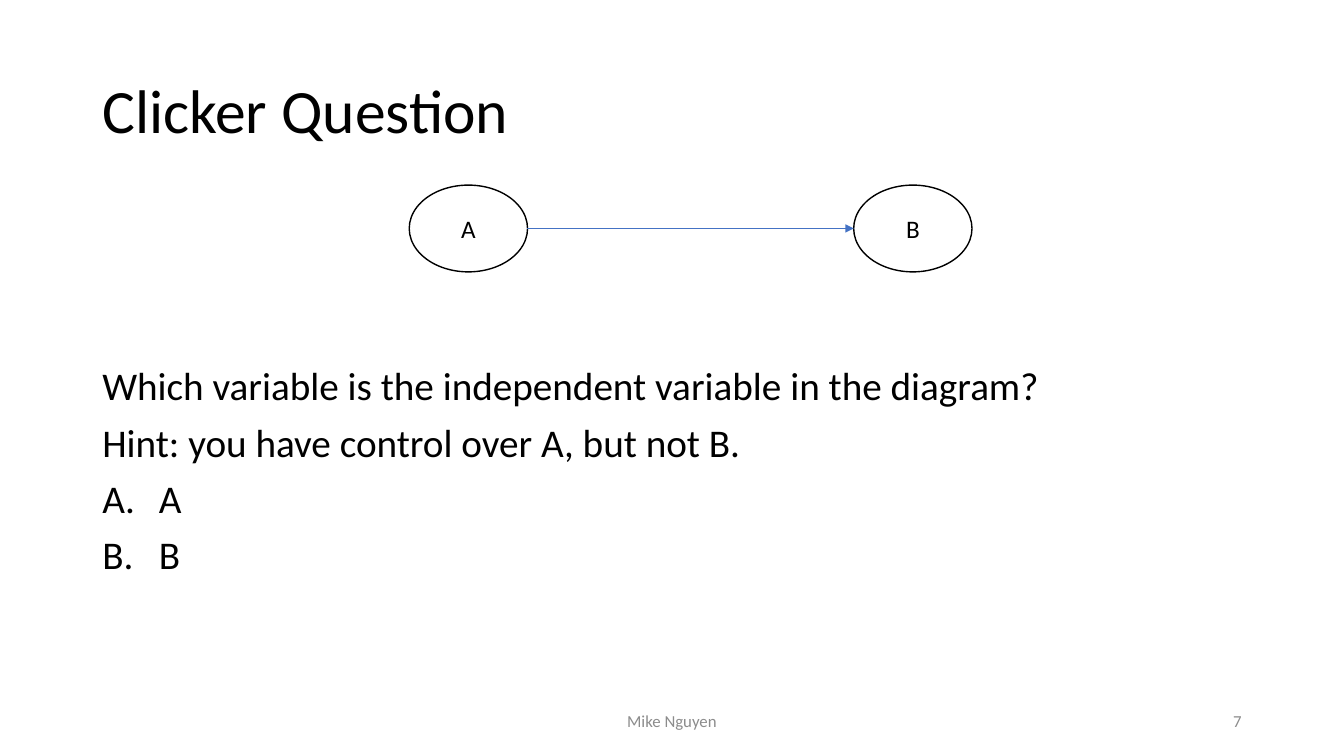
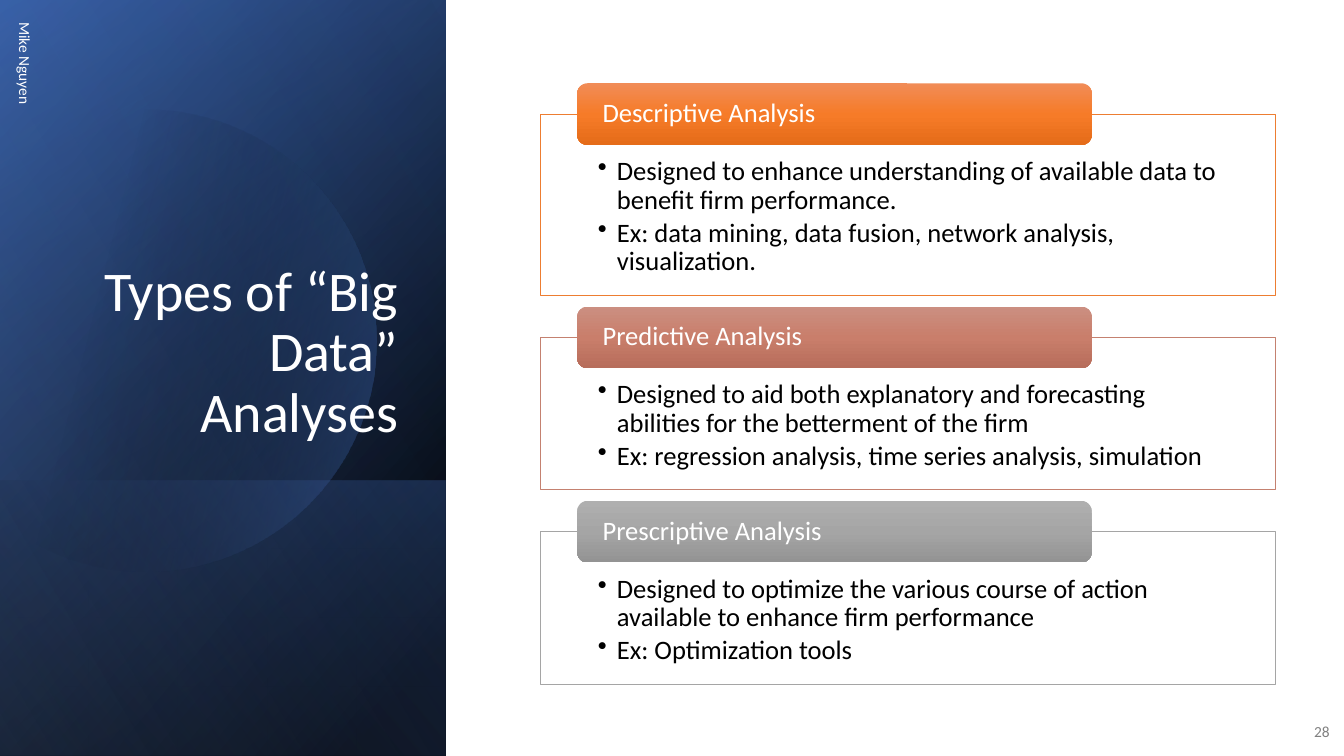
"""Build two lecture slides: a clicker question and the types of big data analysis."""
from math import acos, cos, pi, sin

from lxml.etree import SubElement
from pptx import Presentation
from pptx.dml.color import RGBColor
from pptx.enum.shapes import MSO_CONNECTOR, MSO_SHAPE
from pptx.enum.text import MSO_ANCHOR, PP_ALIGN
from pptx.oxml.ns import qn
from pptx.util import Pt

COLORS = {
    "black": "000000", "white": "FFFFFF", "blue": "4472C4", "deep blue": "2F5597",
    "light blue": "8FAADC", "footer": "8C8C8C", "page": "808080",
    "orange": "ED7D31", "rose": "C48170", "gray": "A5A5A5",
    "orange top": "F18C57", "orange middle": "F67B28", "orange bottom": "E56C19",
    "rose top": "CB8F81", "rose middle": "C97E6B", "rose bottom": "B76D5B",
    "gray top": "AFAFAF", "gray middle": "A5A5A5", "gray bottom": "939393",
}
TITLE = {"line_spacing": 0.9}
FOOTER = {"size": 12, "color": "footer"}
SMALL = {"size": 11, "space_after": Pt(6)}
PARAGRAPH_KEYS = ("alignment", "line_spacing", "space_before", "space_after")
LETTERS = ("a:buAutoNum", {"type": "alphaUcPeriod"}, 40.5)
DOTS = ("a:buChar", {"char": "•"}, 13.7)


def write_text(shape, lines, size, color="black", anchor=MSO_ANCHOR.MIDDLE,
               margins=(7.2, 3.6, 7.2, 3.6), bullet=None, bullet_from=0, **formats):
    frame = shape.text_frame
    frame.word_wrap = True
    frame.vertical_anchor = anchor
    for side, margin in zip(("left", "top", "right", "bottom"), margins):
        setattr(frame, f"margin_{side}", Pt(margin))
    for index, line in enumerate(lines):
        paragraph = frame.add_paragraph() if index else frame.paragraphs[0]
        paragraph.alignment = PP_ALIGN.LEFT
        if bullet and index >= bullet_from:
            tag, attributes, indent = bullet
            properties = paragraph._p.get_or_add_pPr()
            properties.set("marL", str(Pt(indent)))
            properties.set("indent", str(-Pt(indent)))
            SubElement(properties, qn(tag), attributes)
        for key in PARAGRAPH_KEYS:
            if key in formats and (index or key != "space_before"):
                setattr(paragraph, key, formats[key])
        run = paragraph.add_run()
        run.text = line
        for key, value in {"name": "Calibri", "size": Pt(size)}.items():
            setattr(run.font, key, value)
        run.font.color.rgb = RGBColor.from_string(COLORS[color])


def paint_gradient(shape, stops, angle):
    shape.shadow.inherit = False
    shape.line.fill.background()
    shape.fill.gradient()
    shape.fill.gradient_angle = 360 - angle
    stop_list = shape._element.spPr.find(f".//{qn('a:gsLst')}")
    for old_stop in list(stop_list):
        stop_list.remove(old_stop)
    for position, color, opacity in stops:
        stop = SubElement(stop_list, qn("a:gs"), pos=str(position * 1000))
        tint = SubElement(stop, qn("a:srgbClr"), val=COLORS[color])
        SubElement(tint, qn("a:alpha"), val=str(opacity * 1000))


deck = Presentation()
deck.slide_width, deck.slide_height = Pt(960), Pt(540)
question, analyses = [deck.slides.add_slide(deck.slide_layouts[6]) for _ in range(2)]

texts = [
    ((66, 28.8, 828, 104.4), ["Clicker Question"], {"size": 44, **TITLE}),
    ((66, 258.5, 828, 228),
     ["Which variable is the independent variable in the diagram?",
      "Hint: you have control over A, but not B.", "A", "B"],
     {"size": 28, "anchor": MSO_ANCHOR.TOP, "line_spacing": 0.9, "space_before": Pt(10),
      "bullet": LETTERS, "bullet_from": 2}),
    ((318, 500.5, 324, 28.8), ["Mike Nguyen"], {"alignment": PP_ALIGN.CENTER, **FOOTER}),
    ((678, 500.5, 216, 28.8), ["7"], {"alignment": PP_ALIGN.RIGHT, **FOOTER}),
]
for box, lines, formats in texts:
    write_text(question.shapes.add_textbox(*map(Pt, box)), lines, **formats)

node_top, node_width, node_height = 132.2, 84.5, 62
cause_left, effect_left = 292.3, 609.8
for variable, left in (("A", cause_left), ("B", effect_left)):
    node = question.shapes.add_shape(
        MSO_SHAPE.OVAL, Pt(left), Pt(node_top), Pt(node_width), Pt(node_height))
    node.shadow.inherit = False
    node.fill.solid()
    node.fill.fore_color.rgb = RGBColor.from_string(COLORS["white"])
    node.line.color.rgb = RGBColor.from_string(COLORS["black"])
    node.line.width = Pt(1)
    write_text(node, [variable], 18, alignment=PP_ALIGN.CENTER)

arrow_y = Pt(node_top + node_height / 2)
effect_arrow = question.shapes.add_connector(
    MSO_CONNECTOR.STRAIGHT, Pt(cause_left + node_width), arrow_y, Pt(effect_left), arrow_y)
effect_arrow.line.color.rgb = RGBColor.from_string(COLORS["blue"])
effect_arrow.line.width = Pt(0.5)
arrow_properties = effect_arrow._element.spPr
SubElement(arrow_properties.find(qn("a:ln")), qn("a:tailEnd"), type="triangle")
SubElement(arrow_properties, qn("a:effectLst"))

panel_width, panel_height, band_top = 318.5, 540, 343
center_x, center_y, radius = 103.7, 243.5, 165
edge_angle = pi - acos(center_x / radius)
arc_steps = 90
arc_angles = [edge_angle * (2 * step / arc_steps - 1) for step in range(arc_steps + 1)]
arc = [(Pt(max(0, center_x + radius * cos(angle))), Pt(center_y + radius * sin(angle)))
       for angle in arc_angles]

panel_layers = [
    (0, [(8, "black", 100), (100, "deep blue", 100)], 220),
    (0, [(0, "black", 0), (99, "blue", 46)], 240),
    (band_top, [(2, "blue", 29), (100, "black", 30)], 140),
    (None, [(29, "black", 0), (100, "blue", 43)], 14),
    (0, [(0, "black", 0), (99, "light blue", 11)], 150),
]
for top, stops, angle in panel_layers:
    if top is None:
        outline = analyses.shapes.build_freeform(*arc[0])
        outline.add_line_segments(arc[1:], close=True)
        layer = outline.convert_to_shape()
    else:
        layer = analyses.shapes.add_shape(
            MSO_SHAPE.RECTANGLE, 0, Pt(top), Pt(panel_width), Pt(panel_height - top))
    paint_gradient(layer, stops, angle)

heading = analyses.shapes.add_textbox(Pt(46), Pt(132.5), Pt(245.5), Pt(188.5))
write_text(heading, ["Types of “Big Data” Analyses"], 40, "white", MSO_ANCHOR.BOTTOM,
           alignment=PP_ALIGN.RIGHT, **TITLE)
author = analyses.shapes.add_textbox(Pt(3.6), Pt(8.6), Pt(28.8), Pt(324))
write_text(author, ["Mike Nguyen"], color="white", margins=(3.6, 7.2, 3.6, 7.2), **SMALL)
author.text_frame._txBody.bodyPr.set("vert", "vert")
page = analyses.shapes.add_textbox(Pt(921.6), Pt(508.3), Pt(35.3), Pt(28.8))
write_text(page, ["28"], color="page", alignment=PP_ALIGN.RIGHT, **SMALL)

cards = [
    ("Descriptive Analysis", "orange", 129.4,
     ["Designed to enhance understanding of available data to benefit firm performance.",
      "Ex: data mining, data fusion, network analysis, visualization."]),
    ("Predictive Analysis", "rose", 108.7,
     ["Designed to aid both explanatory and forecasting abilities for the betterment "
      "of the firm",
      "Ex: regression analysis, time series analysis, simulation"]),
    ("Prescriptive Analysis", "gray", 108.7,
     ["Designed to optimize the various course of action available to enhance firm "
      "performance",
      "Ex: Optimization tools"]),
]
card_top, card_gap, tab_height = 81.5, 30.1, 44
for label, hue, card_height, points in cards:
    card = analyses.shapes.add_shape(
        MSO_SHAPE.RECTANGLE, Pt(386), Pt(card_top), Pt(525), Pt(card_height))
    card.shadow.inherit = False
    card.fill.solid()
    card.fill.fore_color.rgb = RGBColor.from_string(COLORS["white"])
    card.line.color.rgb = RGBColor.from_string(COLORS[hue])
    card.line.width = Pt(0.5)
    write_text(card, points, 19, anchor=MSO_ANCHOR.TOP, margins=(41, 31, 41, 11),
               bullet=DOTS, line_spacing=0.9, space_after=Pt(3))
    tab = analyses.shapes.add_shape(
        MSO_SHAPE.ROUNDED_RECTANGLE, Pt(412.3), Pt(card_top - tab_height / 2),
        Pt(367.5), Pt(tab_height))
    paint_gradient(tab, [(0, f"{hue} top", 100), (50, f"{hue} middle", 100),
                         (100, f"{hue} bottom", 100)], 90)
    write_text(tab, [label], 19, "white", margins=(16, 0, 16, 0), line_spacing=0.9)
    card_top += card_height + card_gap

deck.save("out.pptx")
